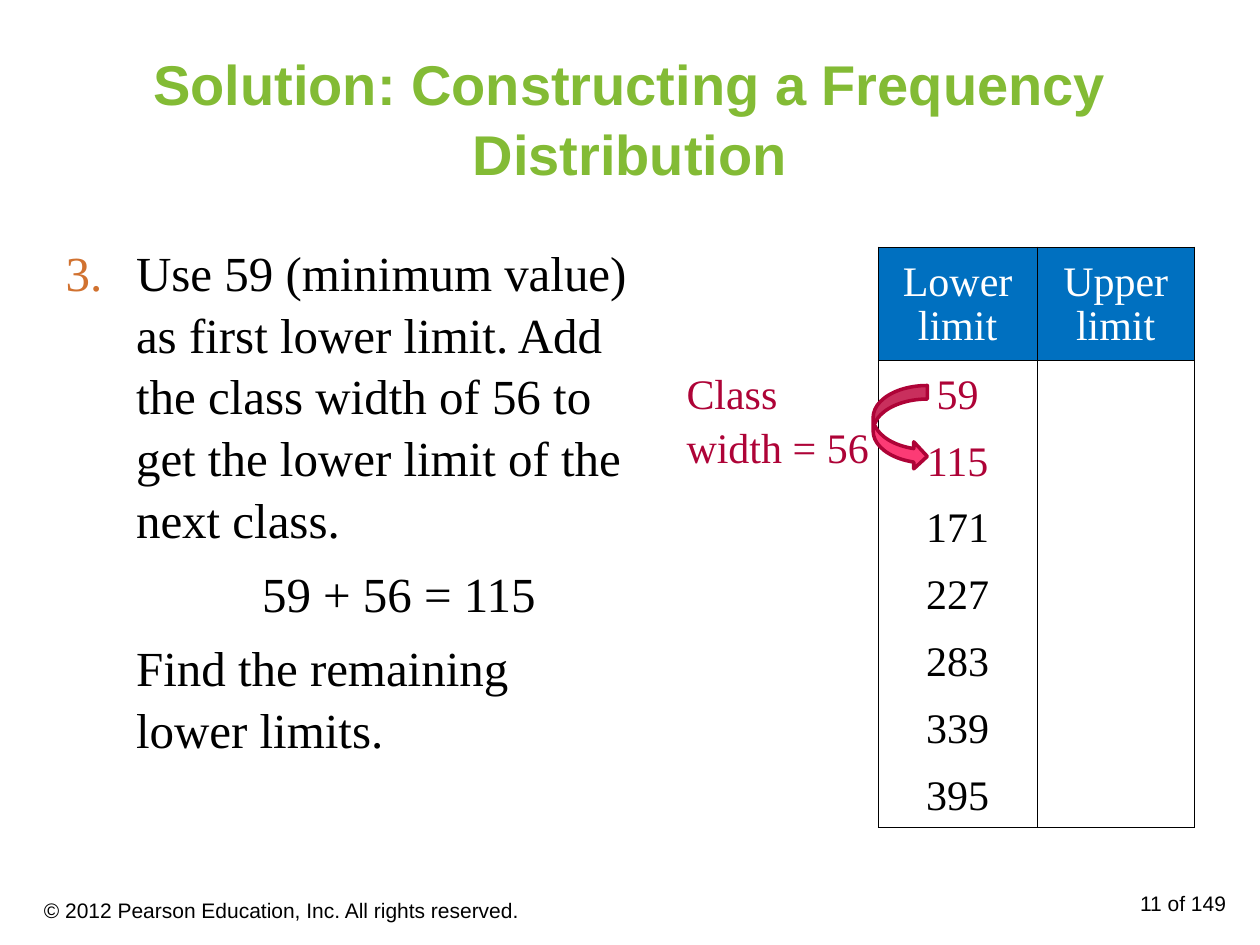
from pptx import Presentation
from pptx.dml.color import RGBColor
from pptx.enum.shapes import MSO_SHAPE
from pptx.enum.text import MSO_ANCHOR as ANCHOR, MSO_AUTO_SIZE, PP_ALIGN as ALIGN
from pptx.oxml.ns import qn
from pptx.util import Inches, Pt
from lxml.etree import SubElement

SANS, SERIF = "Arial", "Times New Roman"
BLACK, WHITE, GREEN, ORANGE = "000000", "FFFFFF", "83BB35", "D17230"
CRIMSON, PINK, BLUE = "AE0337", "FC3B75", "0070C0"

TITLE = "Solution: Constructing a Frequency Distribution"
STEPS = [  # text, left margin, first-line indent, start number
    ("Use 59 (minimum value) as first lower limit. Add the class width of 56 "
     "to get the lower limit of the next class.", 0.56, -0.56, 3),
    ("59 + 56 = 115", 1.56, 0, None),
    ("Find the remaining lower limits.", 0.56, 0, None),
]
HEADERS = ["Lower limit", "Upper limit"]
FIRST_LIMIT, CLASS_WIDTH, CLASSES = 59, 56, 7
LIMITS = [FIRST_LIMIT + CLASS_WIDTH * i for i in range(CLASSES)]
LABELS = [  # text, box, format, alignment, anchor, line spacing
    (f"Class width = {CLASS_WIDTH}", (5.35, 2.84, 1.75, 0.9),
     (SERIF, 24, CRIMSON), ALIGN.LEFT, ANCHOR.TOP, 1.07),
    ("11 of 149", (7.5, 7.02, 2.33, 0.4),
     (SANS, 12, BLACK), ALIGN.RIGHT, ANCHOR.TOP, 1),
    ("© 2012 Pearson Education, Inc. All rights reserved.", (0.25, 7.02, 4.75, 0.4),
     (SANS, 12, BLACK), ALIGN.LEFT, ANCHOR.MIDDLE, 1),
]


def rgb(code):
    return RGBColor.from_string(code)


def place(sp, box):
    for name, value in zip(("left", "top", "width", "height"), box):
        setattr(sp, name, Inches(value))


def setup_frame(tf, anchor):
    frame = dict(word_wrap=True, auto_size=MSO_AUTO_SIZE.NONE, vertical_anchor=anchor)
    for name, value in frame.items():
        setattr(tf, name, value)


def write(p, text, font, align=ALIGN.LEFT, spacing=1, before=0, bold=False):
    layout = dict(alignment=align, line_spacing=spacing, space_before=Pt(before))
    for name, value in layout.items():
        setattr(p, name, value)
    r = p.add_run()
    r.text = text
    face, size, color = font
    for name, value in dict(name=face, size=Pt(size), bold=bold).items():
        setattr(r.font, name, value)
    r.font.color.rgb = rgb(color)


def set_bullet(p, margin, indent, start):
    pPr = p._p.get_or_add_pPr()
    pPr.set("marL", str(Inches(margin)))
    pPr.set("indent", str(Inches(indent)))
    if start is None:
        SubElement(pPr, qn("a:buNone"))
        return
    SubElement(SubElement(pPr, qn("a:buClr")), qn("a:srgbClr"), val=ORANGE)
    SubElement(pPr, qn("a:buFont"), typeface=SERIF)
    SubElement(pPr, qn("a:buAutoNum"), type="arabicPeriod", startAt=str(start))


def set_borders(cell, shown):
    """Draw the sides in shown (letters of LRTB) and clear the others."""
    tcPr = cell._tc.get_or_add_tcPr()
    for i, side in enumerate("LRTB"):
        ln = tcPr.makeelement(qn(f"a:ln{side}"), {"w": str(Pt(0.45))})
        tcPr.insert(i, ln)
        if side in shown:
            SubElement(SubElement(ln, qn("a:solidFill")), qn("a:srgbClr"), val=BLACK)
        else:
            SubElement(ln, qn("a:noFill"))


def add_limits_table(s):
    rows = [HEADERS] + [[str(limit), ""] for limit in LIMITS]
    heights = [0.9] + [0.53] * CLASSES
    table = s.shapes.add_table(len(rows), 2, Inches(6.97), Inches(1.96),
                               Inches(2.51), Inches(sum(heights))).table
    table.first_row = table.horz_banding = False
    for col, width in zip(table.columns, (1.26, 1.25)):
        col.width = Inches(width)
    for i, (texts, height) in enumerate(zip(rows, heights)):
        table.rows[i].height = Inches(height)
        color = WHITE if i == 0 else CRIMSON if i <= 2 else BLACK
        sides = "LR" + ("T" if i <= 1 else "") + ("B" if i in (0, CLASSES) else "")
        for j, text in enumerate(texts):
            cell = table.cell(i, j)
            cell.margin_top = Inches(0.11)
            if i == 0:
                cell.fill.solid()
                cell.fill.fore_color.rgb = rgb(BLUE)
            else:
                cell.fill.background()
            set_borders(cell, sides)
            if text:
                write(cell.text_frame.paragraphs[0], text, (SERIF, 24, color),
                      ALIGN.CENTER, 0.95)


prs = Presentation()
prs.slide_width, prs.slide_height = Inches(10), Inches(7.5)
s = prs.slides.add_slide(prs.slide_layouts[1])

title, body = s.placeholders
place(title, (0.5, 0.3, 9, 1.25))
setup_frame(title.text_frame, ANCHOR.MIDDLE)
write(title.text_frame.paragraphs[0], TITLE, (SANS, 32, GREEN), ALIGN.CENTER, 1.04, bold=True)

place(body, (0.42, 1.85, 4.68, 4.03))
tf = body.text_frame
setup_frame(tf, ANCHOR.TOP)
for i, (text, margin, indent, start) in enumerate(STEPS):
    p = tf.add_paragraph() if i else tf.paragraphs[0]
    set_bullet(p, margin, indent, start)
    write(p, text, (SERIF, 28, BLACK), spacing=1.05, before=7 if i else 0)

add_limits_table(s)

arrow = s.shapes.add_shape(MSO_SHAPE.CURVED_RIGHT_ARROW, Inches(6.93), Inches(3.06),
                           Inches(0.43), Inches(0.67))
arrow.shadow.inherit = False
arrow.fill.solid()
arrow.fill.fore_color.rgb = rgb(PINK)
arrow.line.color.rgb = rgb(CRIMSON)
arrow.line.width = Pt(2)

for text, box, font, align, anchor, spacing in LABELS:
    label = s.shapes.add_textbox(*map(Inches, box))
    setup_frame(label.text_frame, anchor)
    write(label.text_frame.paragraphs[0], text, font, align, spacing)

prs.save("out.pptx")
